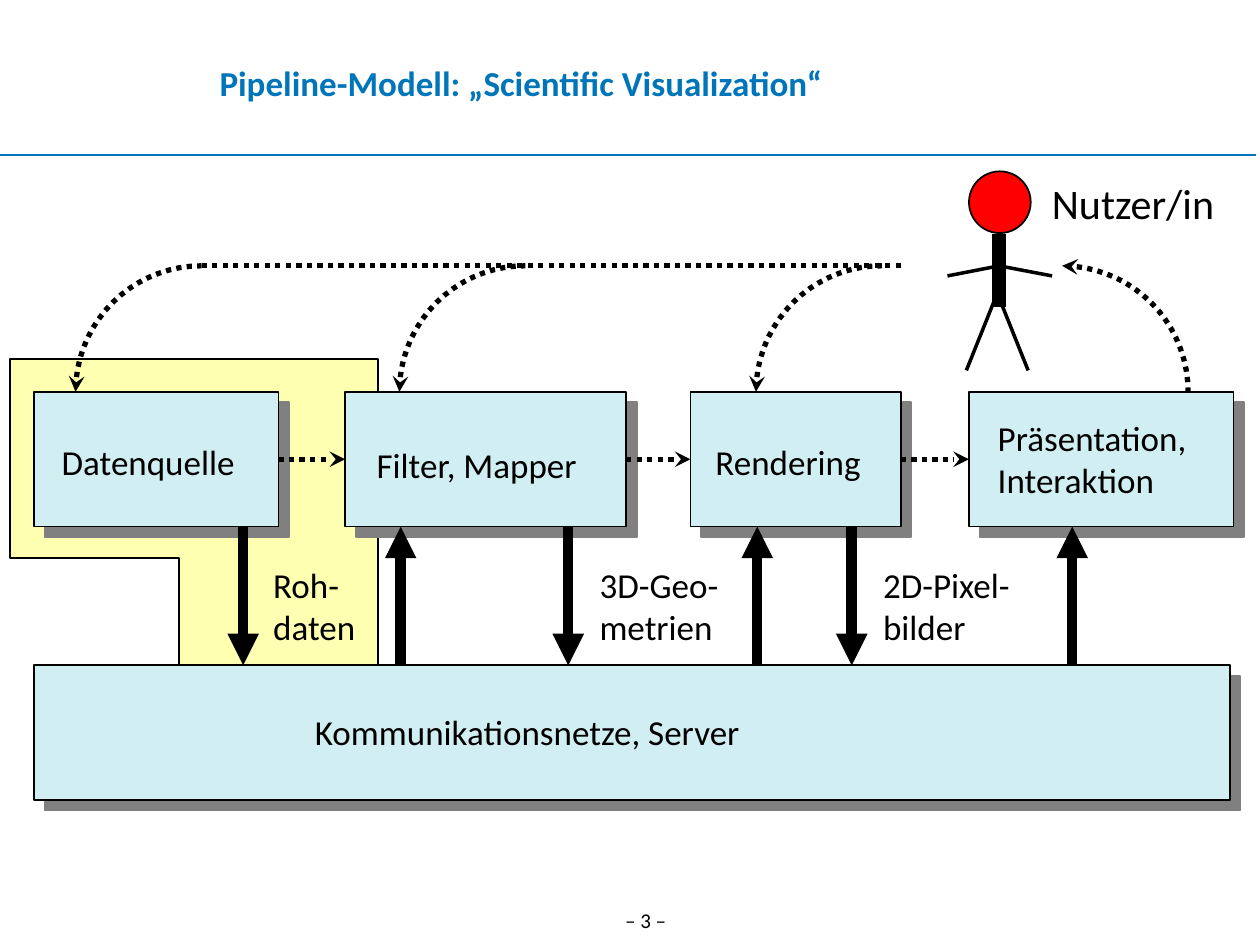
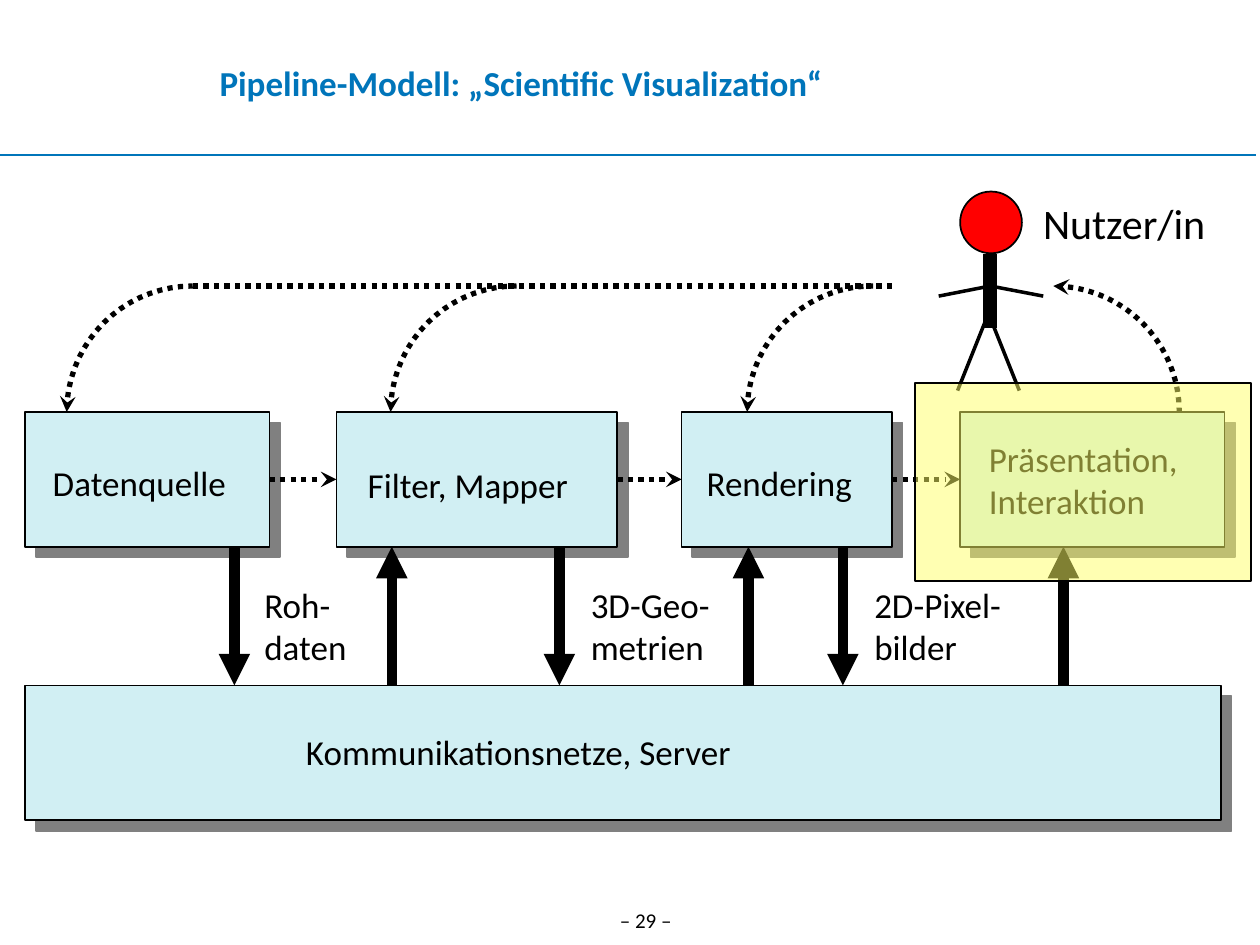
"""Build two slides of the scientific visualization pipeline model."""
from math import cos, pi, sin

from lxml.etree import SubElement
from pptx import Presentation
from pptx.dml.color import RGBColor
from pptx.enum.dml import MSO_LINE
from pptx.enum.shapes import MSO_CONNECTOR, MSO_SHAPE
from pptx.enum.text import MSO_ANCHOR, MSO_AUTO_SIZE, PP_ALIGN
from pptx.oxml.ns import qn
from pptx.util import Pt

PX = 9144
BLUE = RGBColor(0x00, 0x75, 0xBA)
BLACK = RGBColor(0x00, 0x00, 0x00)
CYAN = RGBColor(0xD1, 0xEF, 0xF3)
YELLOW = RGBColor(0xFF, 0xFF, 0x66)
RED = RGBColor(0xFF, 0x00, 0x00)

BOX_Y, BOX_H, NET_Y = 311, 107, 528
STAGES = [
    (27, 194, "Datenquelle", (39, 345, 158, 43)),
    (274, 223, "Filter, Mapper", (289, 347, 182, 43)),
    (548, 167, "Rendering", (558, 345, 136, 43)),
    (769, 210, "Präsentation,\nInteraktion", (782, 326, 171, 77)),
]
DATA_LABELS = [
    ("Roh-\vdaten", (207, 442, 86, 77)),
    ("3D-Geo-\nmetrien", (466, 442, 115, 77)),
    ("2D-Pixel-\nbilder", (691, 442, 122, 77)),
]
DOWN_ARROWS = [193, 451, 676]
UP_ARROWS = [318, 601, 851]
ARCS = [(160, 180), (417, 180), (700, 180), (843, 270)]
FIGURE_LINES = [
    (793, 186, 793, 244, 8),
    (791, 234, 767, 294, 2),
    (792, 234, 816, 294, 2),
    (793, 211, 752, 219, 2),
    (793, 211, 835, 219, 2),
]
SOURCE_OUTLINE = [(300, 285), (300, 543), (142, 543), (142, 443), (8, 443)]


def add_text(s, text, x, y, w, h, size=20, color=BLACK, bold=False,
             align=PP_ALIGN.LEFT, wrap=False, title=False):
    tf = s.shapes.add_textbox(x * PX, y * PX, w * PX, h * PX).text_frame
    tf.word_wrap = wrap
    if title:
        tf.vertical_anchor = MSO_ANCHOR.MIDDLE
        tf.margin_left = tf.margin_right = tf.margin_top = tf.margin_bottom = 0
    else:
        tf.auto_size = MSO_AUTO_SIZE.SHAPE_TO_FIT_TEXT
    for i, part in enumerate(text.split("\n")):
        p = tf.paragraphs[0] if i == 0 else tf.add_paragraph()
        p.text = part
        p.alignment = align
        for r in p.runs:
            r.font.name = "Calibri"
            r.font.size = Pt(size)
            r.font.bold = bold
            r.font.color.rgb = color


def stroke(shape, width, color=BLACK, dotted=False, end=None, kind="stealth"):
    shape.line.color.rgb = color
    shape.line.width = Pt(width)
    if dotted:
        shape.line.dash_style = MSO_LINE.ROUND_DOT
    sp_pr = shape._element.spPr
    if end:
        SubElement(sp_pr.find(qn("a:ln")), qn(f"a:{end}End"), type=kind)
    return SubElement(sp_pr, qn("a:effectLst"))


prs = Presentation()
prs.slide_width, prs.slide_height = 1000 * PX, 750 * PX

for page, dx, dy in [(3, 0, 0), (29, -7, 16)]:
    s = prs.slides.add_slide(prs.slide_layouts[6])
    rule = s.shapes.add_connector(MSO_CONNECTOR.STRAIGHT, -4 * PX, 123 * PX, 997 * PX, 123 * PX)
    stroke(rule, 0.75, BLUE)
    add_text(s, f"– {page} –", 469, 715, 87, 51, size=12, align=PP_ALIGN.CENTER, wrap=True)

    if page == 3:
        builder = s.shapes.build_freeform(8, 285, scale=PX)
        builder.add_line_segments(SOURCE_OUTLINE, close=True)
        highlight = builder.convert_to_shape()
    else:
        highlight = s.shapes.add_shape(MSO_SHAPE.RECTANGLE, 726 * PX, 304 * PX, 267 * PX, 157 * PX)
    highlight.fill.solid()
    highlight.fill.fore_color.rgb = YELLOW
    tint = highlight._element.spPr.find(qn("a:solidFill"))[0]
    SubElement(tint, qn("a:alpha"), val="50000")
    stroke(highlight, 1)

    add_text(s, "Pipeline-Modell: „Scientific Visualization“", 20, 23, 787, 85, color=BLUE,
             bold=True, align=PP_ALIGN.CENTER, wrap=True, title=True)

    network = (27, 949, "Kommunikationsnetze, Server", (240, 559, 359, 43))
    boxes = []
    for x, w, label, (lx, ly, lw, lh) in STAGES + [network]:
        y = BOX_Y if len(boxes) < len(STAGES) else NET_Y
        box = s.shapes.add_shape(MSO_SHAPE.RECTANGLE, (x + dx) * PX, (y + dy) * PX,
                                 w * PX, BOX_H * PX)
        box.fill.solid()
        box.fill.fore_color.rgb = CYAN
        effects = stroke(box, 1)
        shadow = SubElement(effects, qn("a:outerShdw"), blurRad="0", dist="107950",
                            dir="2700000", algn="ctr", rotWithShape="0")
        SubElement(shadow, qn("a:srgbClr"), val="808080")
        add_text(s, label, lx + dx, ly + dy, lw, lh)
        boxes.append(box)

    stages = boxes[:-1]
    for left, right in zip(stages, stages[1:]):
        c = s.shapes.add_connector(MSO_CONNECTOR.STRAIGHT, 0, 0, 0, 0)
        c.begin_connect(left, 3)
        c.end_connect(right, 1)
        stroke(c, 3, dotted=True, end="tail")

    top, bottom = BOX_Y + BOX_H, NET_Y
    arrows = [(x, top, bottom) for x in DOWN_ARROWS] + [(x, bottom, top) for x in UP_ARROWS]
    for x, y1, y2 in arrows:
        c = s.shapes.add_connector(MSO_CONNECTOR.STRAIGHT, (x + dx) * PX, (y1 + dy) * PX,
                                   (x + dx) * PX, (y2 + dy) * PX)
        stroke(c, 6, end="tail", kind="triangle")

    for label, (x, y, w, h) in DATA_LABELS:
        add_text(s, label, x + dx, y + dy, w, h)

    for cx, start in ARCS:
        angles = [(start + 5 * i) * pi / 180 for i in range(19)]
        points = [((cx + dx + 100 * cos(a)) * PX, (BOX_Y + dy + 100 * sin(a)) * PX)
                  for a in angles]
        builder = s.shapes.build_freeform(*points[0])
        builder.add_line_segments(points[1:], close=False)
        arc = builder.convert_to_shape()
        arc.fill.background()
        stroke(arc, 3, dotted=True, end="head")

    feedback = s.shapes.add_connector(MSO_CONNECTOR.STRAIGHT, (160 + dx) * PX, (211 + dy) * PX,
                                      (718 + dx) * PX, (211 + dy) * PX)
    stroke(feedback, 3, dotted=True)

    head = s.shapes.add_shape(MSO_SHAPE.OVAL, (769 + dx) * PX, (136 + dy) * PX, 49 * PX, 49 * PX)
    head.fill.solid()
    head.fill.fore_color.rgb = RED
    stroke(head, 1)
    for x1, y1, x2, y2, width in FIGURE_LINES:
        limb = s.shapes.add_connector(MSO_CONNECTOR.STRAIGHT, (x1 + dx) * PX, (y1 + dy) * PX,
                                      (x2 + dx) * PX, (y2 + dy) * PX)
        stroke(limb, width)
    add_text(s, "Nutzer/in", 825 + dx, 136 + dy, 150, 50, size=24)

    if page == 29:
        s.shapes._spTree.append(highlight._element)

prs.save("out.pptx")
